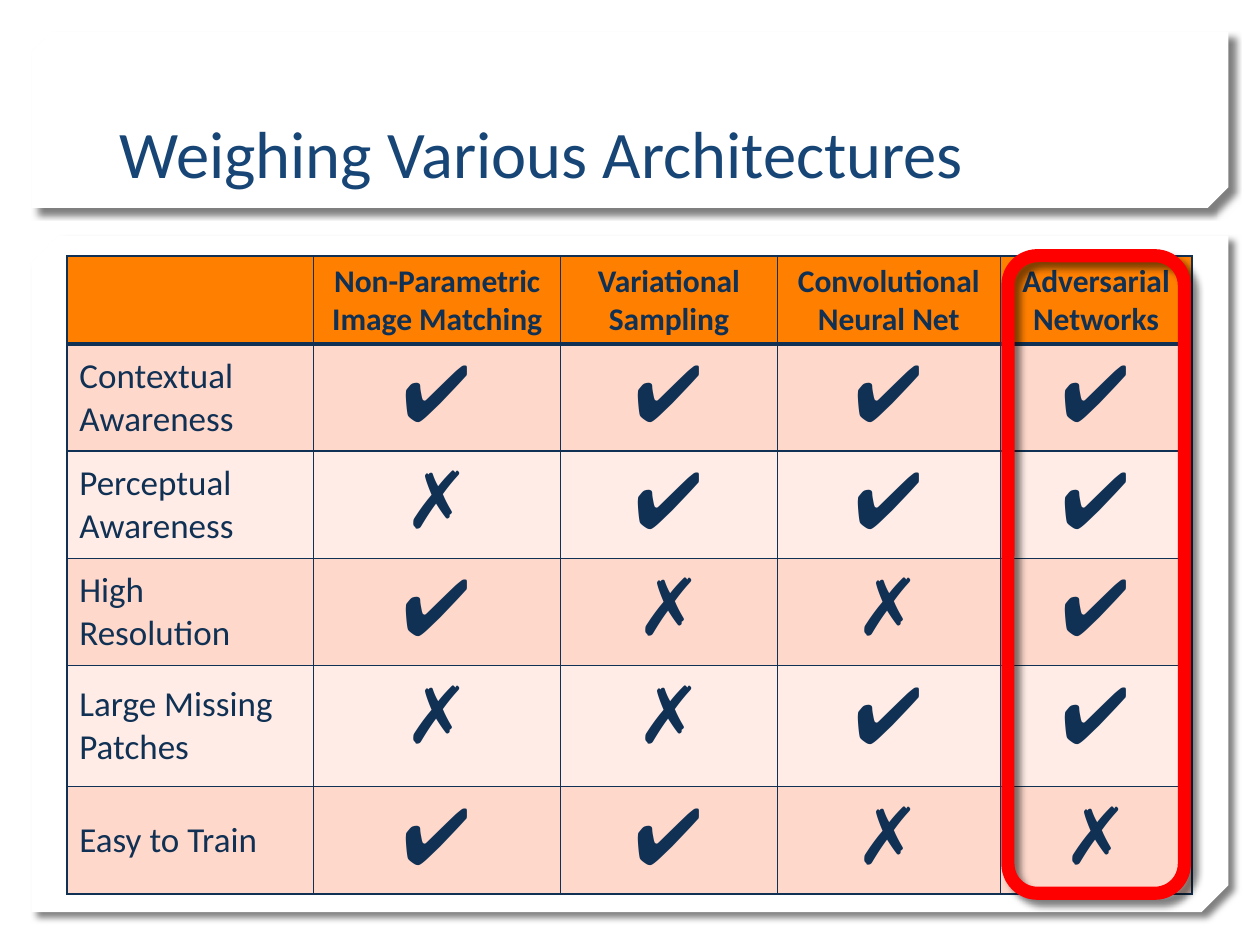
from lxml import etree
from pptx import Presentation
from pptx.dml.color import RGBColor
from pptx.enum.shapes import MSO_SHAPE
from pptx.enum.text import MSO_ANCHOR, PP_ALIGN
from pptx.oxml import parse_xml
from pptx.oxml.ns import nsdecls, qn
from pptx.util import Inches, Pt

SNIP, ROUND = MSO_SHAPE.SNIP_2_DIAG_RECTANGLE, MSO_SHAPE.ROUNDED_RECTANGLE
TOP, MIDDLE, BOTTOM = MSO_ANCHOR.TOP, MSO_ANCHOR.MIDDLE, MSO_ANCHOR.BOTTOM
LEFT, CENTER = PP_ALIGN.LEFT, PP_ALIGN.CENTER

# Content
TITLE = "Weighing Various Architectures"
HEADER = ["", "Non-Parametric Image Matching", "Variational Sampling",
          "Convolutional Neural Net", "Adversarial Networks"]
RATINGS = [
    ("Contextual Awareness", "✔✔✔✔"),
    ("Perceptual Awareness", "✗✔✔✔"),
    ("High Resolution", "✔✗✗✔"),
    ("Large Missing Patches", "✗✗✔✔"),
    ("Easy to Train", "✔✔✗✗"),
]

# Layout and colours
COLS = [1.96, 1.96, 1.72, 1.77, 1.52]
ROWS = [0.65, 0.79, 0.79, 0.79, 0.96, 0.79]
TABLE_X, TABLE_Y, TABLE_H = 0.53, 2.03, 5.06
PANELS = [(1.87, 5.37, 0.04), (0.25, 1.4, 0.117)]  # top, height, snip
NAVY, BLUE, ORANGE, RED = "103154", "174576", "FF7F01", "FF0000"
BANDS = ["FFD8CC", "FFECE7"]


def color(value):
    return RGBColor.from_string(value)


def write(tf, text, size=18, font="Calibri", fg=NAVY, bold=False, align=LEFT):
    p = tf.paragraphs[0]
    p.alignment = align
    r = p.add_run()
    r.text = text
    r.font.size, r.font.name, r.font.bold = Pt(size), font, bold
    r.font.color.rgb = color(fg)


def add_shadow(sp):
    sp.shadow.inherit = False
    effects = sp._element.spPr.find(qn("a:effectLst"))
    effects.append(parse_xml(
        f'<a:outerShdw {nsdecls("a")} blurRad="{Pt(4)}" dist="{Pt(5)}" '
        'dir="2700000" algn="tl" rotWithShape="0"><a:srgbClr val="000000">'
        '<a:alpha val="50000"/></a:srgbClr></a:outerShdw>'))


def add_borders(cell, bottom):
    tc_pr = cell._tc.get_or_add_tcPr()
    for side, width in zip("LRTB", (1, 1, 1, bottom)):
        ln = etree.SubElement(tc_pr, qn(f"a:ln{side}"), w=str(Pt(width)))
        fill = etree.SubElement(ln, qn("a:solidFill"))
        etree.SubElement(fill, qn("a:srgbClr"), val=NAVY)


def fill_cell(cell, text, bg, anchor=MIDDLE, bottom=1, **fmt):
    add_borders(cell, bottom)
    cell.fill.solid()
    cell.fill.fore_color.rgb = color(bg)
    cell.vertical_anchor = anchor
    if text:
        write(cell.text_frame, text, **fmt)


prs = Presentation()
prs.slide_width, prs.slide_height = Inches(10), Inches(7.5)
s = prs.slides.add_slide(prs.slide_layouts[6])

# White panels with a snipped lower right corner
for top, height, snip in PANELS:
    sp = s.shapes.add_shape(SNIP, Inches(0.25), Inches(top), Inches(9.5), Inches(height))
    sp.adjustments[0], sp.adjustments[1] = 0, snip
    sp._element.spPr.find(qn("a:xfrm")).set("flipV", "1")
    sp.fill.solid()
    sp.fill.fore_color.rgb = color("FFFFFF")
    sp.line.fill.background()
    add_shadow(sp)

# Title
tf = s.shapes.add_textbox(Inches(0.85), Inches(0.32), Inches(8.29), Inches(1.25)).text_frame
tf.word_wrap = True
tf.vertical_anchor = BOTTOM
write(tf, TITLE, size=38, fg=BLUE)

# Comparison table
table = s.shapes.add_table(len(ROWS), len(COLS), Inches(TABLE_X), Inches(TABLE_Y),
                           Inches(sum(COLS)), Inches(sum(ROWS))).table
table.first_row = table.horz_banding = False
for col, width in zip(table.columns, COLS):
    col.width = Inches(width)
for row, height in zip(table.rows, ROWS):
    row.height = Inches(height)
for c, text in enumerate(HEADER):
    fill_cell(table.cell(0, c), text, ORANGE, bottom=3, bold=True, align=CENTER)
for r, (label, marks) in enumerate(RATINGS, 1):
    band = BANDS[(r - 1) % 2]
    fill_cell(table.cell(r, 0), label, band, size=20)
    for c, mark in enumerate(marks, 1):
        fill_cell(table.cell(r, c), mark, band, anchor=TOP, size=45, font="Arial", align=CENTER)

# Frame around the last column
frame = s.shapes.add_shape(ROUND, Inches(8), Inches(TABLE_Y), Inches(1.4), Inches(TABLE_H))
frame.fill.background()
frame.line.color.rgb = color(RED)
frame.line.width = Pt(7.5)
add_shadow(frame)

prs.save("out.pptx")
